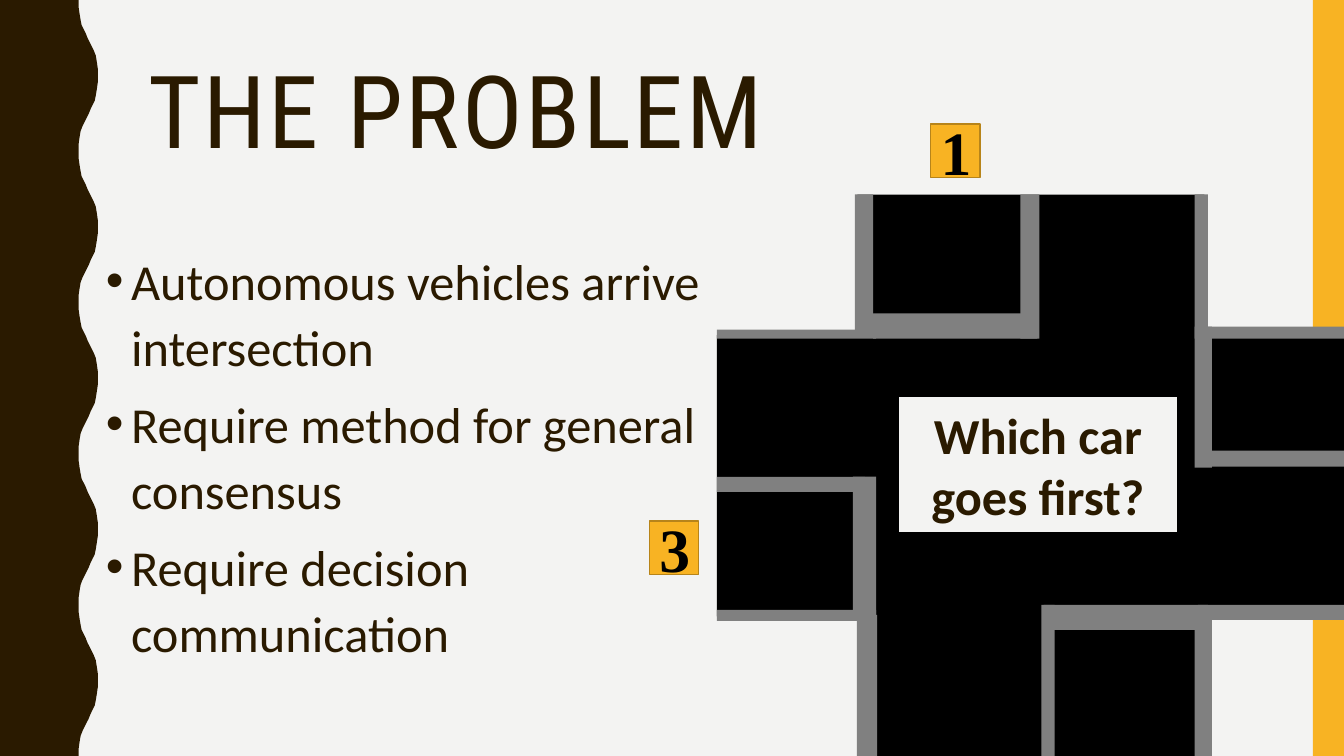
import dataclasses

import pptx
import pptx.dml.color
import pptx.enum.shapes
import pptx.enum.text
import pptx.oxml
import pptx.oxml.ns
import pptx.util

Inches = pptx.util.Inches
Pt = pptx.util.Pt
RGB = pptx.dml.color.RGBColor.from_string
SHAPE = pptx.enum.shapes.MSO_SHAPE
ALIGN = pptx.enum.text.PP_ALIGN
ANCHOR = pptx.enum.text.MSO_ANCHOR


@dataclasses.dataclass(frozen=True)
class Theme:
    paper: str = "F3F3F2"
    ink: str = "2A1A00"
    accent: str = "F8B323"
    accent_edge: str = "B7841A"
    road: str = "000000"
    kerb: str = "808080"
    title_font: str = "Roboto Condensed"
    body_font: str = "Calibri"
    number_font: str = "Times New Roman"
    title_size: int = 72
    body_size: int = 36
    number_size: int = 44


THEME = Theme()

HORIZONTAL_KERBS = [
    (3.24, 4.07, 1.63, 0.25), (4.77, 4.07, 1.49, 0.15),
    (1.55, 1.18, 1.63, 0.25), (4.78, 1.31, 1.48, 0.12),
    (0, 1.34, 1.58, 0.09), (0, 4.12, 1.58, 0.11),
    (4.81, 2.54, 1.49, 0.16), (0, 2.8, 1.47, 0.15),
]
VERTICAL_KERBS = [
    (3.22, 4.07, 0.13, 1.51), (4.74, 4.14, 0.17, 1.43),
    (3.01, 0, 0.19, 1.43), (4.74, 0, 0.13, 1.43),
    (1.37, 0, 0.18, 1.37), (1.39, 4.17, 0.2, 1.42),
    (4.74, 1.31, 0.17, 1.4), (1.35, 2.8, 0.23, 1.4),
]
HALF_WAVE = [
    (0.78, 0), (0.78, 0.07), (0.79, 0.14), (0.8, 0.2), (0.81, 0.25),
    (0.83, 0.29), (0.85, 0.33), (0.87, 0.38), (0.89, 0.42), (0.91, 0.46),
    (0.93, 0.5), (0.95, 0.55), (0.96, 0.61), (0.97, 0.68),
]


def paint(shape, fill, edge=None):
    shape.shadow.inherit = False
    shape.fill.solid()
    shape.fill.fore_color.rgb = RGB(fill)
    if edge:
        shape.line.color.rgb = RGB(edge)
        shape.line.width = Pt(1)
    else:
        shape.line.fill.background()


def add_block(slide, box, fill, edge=None, kind=SHAPE.RECTANGLE):
    block = slide.shapes.add_shape(kind, *map(Inches, box))
    paint(block, fill, edge)
    return block


def write(paragraph, words, font, size, color, bold=False):
    run = paragraph.add_run()
    run.text = words
    run.font.name = font
    run.font.size = Pt(size)
    run.font.bold = bold
    run.font.color.rgb = RGB(color)
    return run


def move(placeholder, box):
    placeholder.left, placeholder.top, placeholder.width, placeholder.height = map(Inches, box)
    placeholder.text_frame.auto_size = pptx.enum.text.MSO_AUTO_SIZE.NONE
    placeholder.text_frame.vertical_anchor = ANCHOR.TOP


def add_wave(slide, box):
    left, top, width, height = box
    half = 0.75
    edge = []
    for index in range(round(height / half)):
        for x, y in HALF_WAVE:
            across = x if index % 2 == 0 else 1.75 - x
            edge.append((left + across, top + index * half + y))
    edge += [(left + 0.78, top + height), (left, top + height)]
    outline = slide.shapes.build_freeform(Inches(left), Inches(top))
    outline.add_line_segments([(Inches(x), Inches(y)) for x, y in edge])
    paint(outline.convert_to_shape(), THEME.ink)


def fill_title(slide, box, words):
    title = slide.shapes.title
    move(title, box)
    paragraph = title.text_frame.paragraphs[0]
    paragraph.alignment = ALIGN.LEFT
    run = write(paragraph, words, THEME.title_font, THEME.title_size, THEME.ink)
    run.font._element.set("spc", "200")


def fill_points(slide, box, points):
    body = slide.placeholders[1]
    move(body, box)
    for index, point in enumerate(points):
        frame = body.text_frame
        paragraph = frame.add_paragraph() if index else frame.paragraphs[0]
        paragraph.line_spacing = 1.1
        paragraph.space_before = Pt(7)
        properties = paragraph._p.get_or_add_pPr()
        properties.set("marL", str(Inches(0.25)))
        properties.set("indent", str(Inches(-0.25)))
        namespace = pptx.oxml.ns.nsdecls("a")
        properties.append(pptx.oxml.parse_xml(
            f'<a:buClr {namespace}><a:srgbClr val="{THEME.ink}"/></a:buClr>'))
        properties.append(pptx.oxml.parse_xml(
            f'<a:buFont {namespace} typeface="Arial"/>'))
        properties.append(pptx.oxml.parse_xml(f'<a:buChar {namespace} char="•"/>'))
        write(paragraph, point, THEME.body_font, THEME.body_size, THEME.ink)


def add_label(slide, box, words, font, size, color, fill, edge):
    label = add_block(slide, box, fill, edge)
    label.text_frame.word_wrap = True
    label.text_frame.vertical_anchor = ANCHOR.MIDDLE
    paragraph = label.text_frame.paragraphs[0]
    paragraph.alignment = ALIGN.CENTER
    write(paragraph, words, font, size, color, bold=True)


def add_intersection(slide, box):
    left, top, width, height = box
    add_block(slide, box, THEME.road, kind=SHAPE.CROSS)
    for x, y, w, h in HORIZONTAL_KERBS + VERTICAL_KERBS:
        add_block(slide, (left + x, top + y, w, h), THEME.kerb)
    for number, x, y in [("3", -0.67, 3.24), ("1", 2.12, -0.7)]:
        add_label(slide, (left + x, top + y, 0.49, 0.53), number, THEME.number_font,
                  THEME.number_size, THEME.road, THEME.accent, THEME.accent_edge)
    add_label(slide, (left + 1.8, top + 2, 2.77, 1.36), "Which car goes first?",
              THEME.body_font, THEME.body_size, THEME.ink, THEME.paper, THEME.road)


def build_problem_slide(deck):
    slide = deck.slides.add_slide(deck.slide_layouts[1])
    slide.background.fill.solid()
    slide.background.fill.fore_color.rgb = RGB(THEME.paper)
    add_wave(slide, (0, 0, 0.97, 7.5))
    add_block(slide, (13.02, 0, 0.31, 7.5), THEME.accent)
    fill_title(slide, (1.37, 0.42, 11.13, 1.17), "THE PROBLEM")
    fill_points(slide, (0.95, 2.37, 6.34, 5.13), [
        "Autonomous vehicles arrive intersection",
        "Require method for general consensus",
        "Require decision communication",
    ])
    add_intersection(slide, (7.11, 1.93, 6.23, 5.58))


def main():
    deck = pptx.Presentation()
    deck.slide_width = Inches(13.33)
    deck.slide_height = Inches(7.5)
    build_problem_slide(deck)
    deck.save("out.pptx")


if __name__ == "__main__":
    main()
